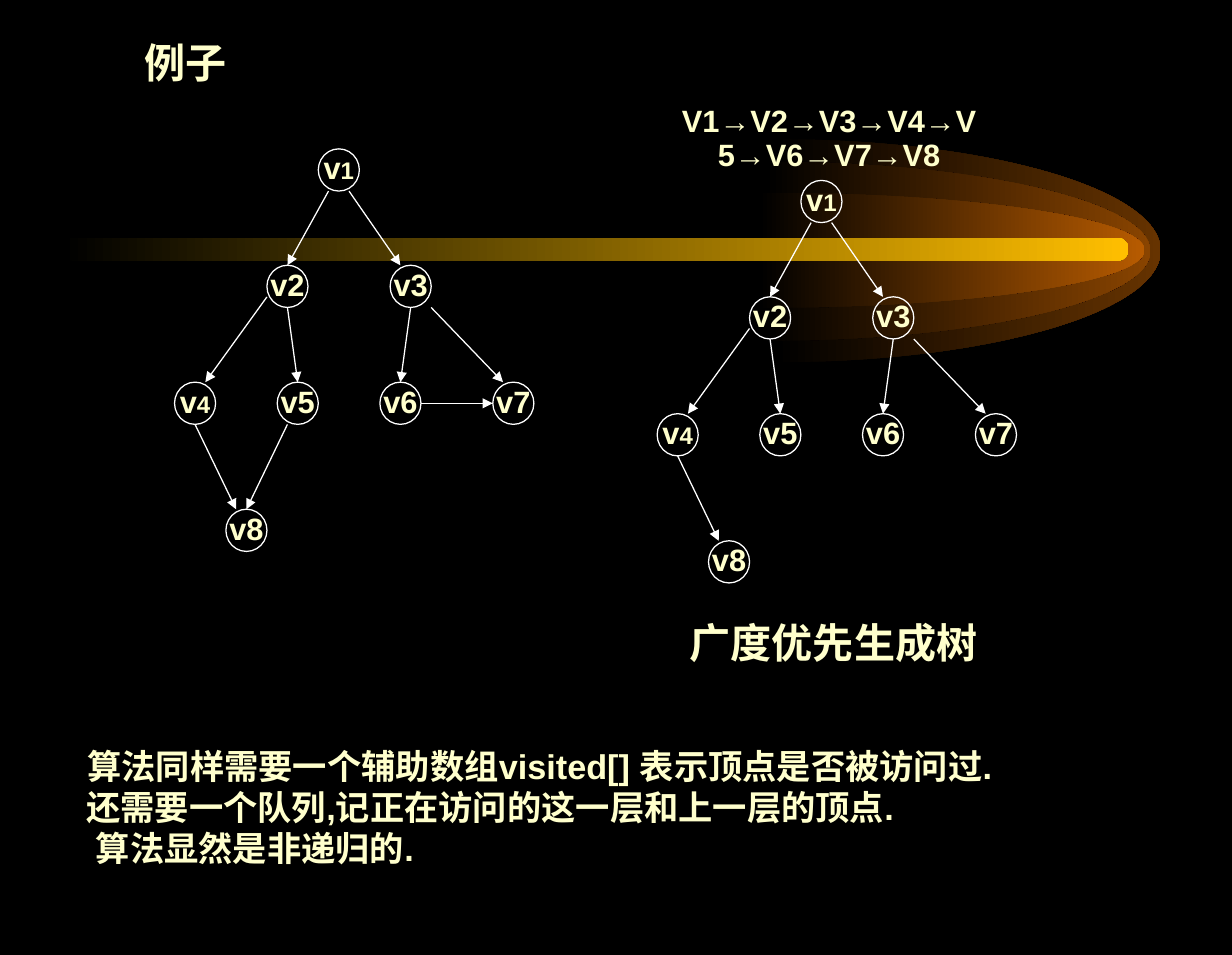
from lxml import etree
from pptx import Presentation
from pptx.dml.color import RGBColor
from pptx.enum.shapes import MSO_CONNECTOR, MSO_SHAPE
from pptx.enum.text import MSO_ANCHOR, MSO_AUTO_SIZE, PP_ALIGN
from pptx.oxml.ns import qn
from pptx.util import Cm, Pt

OVAL, BAR = MSO_SHAPE.OVAL, MSO_SHAPE.ROUNDED_RECTANGLE
STRAIGHT = MSO_CONNECTOR.STRAIGHT
LEFT, CENTER = PP_ALIGN.LEFT, PP_ALIGN.CENTER
TOP, MIDDLE = MSO_ANCHOR.TOP, MSO_ANCHOR.MIDDLE
FIXED, GROW = MSO_AUTO_SIZE.NONE, MSO_AUTO_SIZE.SHAPE_TO_FIT_TEXT

THEME = {
    "background": "000000", "text": "FFFFCC", "line": "FFFFFF", "bar": "FFBF00",
    "latin": "Arial", "heading_font": "Times New Roman",
    "heading": 24, "notes": 20, "label": 18, "small_label": 14,
    "line_width": 0.75, "tight": 0.9,
}

# Comet tail: left, centre height, horizontal radius, vertical radius (cm), colour
GLOWS = [
    (15.98, 5.17, 7.95, 2.30, "663300"),
    (15.77, 5.18, 7.95, 1.85, "894400"),
    (15.65, 5.16, 7.95, 1.19, "B75B00"),
]
BAR_BOX = (1.27, 4.90, 22.0, 0.48)
CURVE = 0.55  # Bezier handle length for a quarter of an ellipse

# Vertices: grid column, level, text as (characters, size)
LEVEL_TOPS = [3.07, 5.47, 7.88, 10.5]
VERTICES = {
    "v1": (31, 0, [("v", "label"), ("1", "small_label")]),
    "v2": (26, 1, [("v2", "label")]),
    "v3": (38, 1, [("v3", "label")]),
    "v4": (17, 2, [("v", "label"), ("4", "small_label")]),
    "v5": (27, 2, [("v5", "label")]),
    "v6": (37, 2, [("v6", "label")]),
    "v7": (48, 2, [("v7", "label")]),
    "v8": (22, 3, [("v8", "label")]),
}
# Edges: ends with their (column, height) on the vertex, in quarters of its box
TREE_EDGES = [
    ("v1", (3, 4), "v3", (1, 0)),
    ("v1", (1, 4), "v2", (2, 0)),
    ("v2", (0, 3), "v4", (3, 0)),
    ("v2", (2, 4), "v5", (2, 0)),
    ("v3", (2, 4), "v6", (2, 0)),
    ("v3", (4, 4), "v7", (1, 0)),
    ("v4", (2, 4), "v8", (1, 0)),
]
EXTRA_EDGES = [("v5", (1, 4), "v8", (2, 0)), ("v6", (4, 2), "v7", (0, 2))]
# Drawings: horizontal and vertical offset (cm), edges
GRAPHS = [(0, 0, TREE_EDGES + EXTRA_EDGES), (9.95, 0.65, TREE_EDGES)]

COLUMN = 2.54 / 12
VERTEX_W, VERTEX_H = 4 * COLUMN, 0.87

# Text blocks: box (cm), paragraphs as (left indent, text), format
CAPTION = dict(align=CENTER, anchor=MIDDLE, wrap=False, fit=GROW, spacing="tight")
TEXTS = [
    ((2.54, 0.64, 21, 1.5), [(0.19, "例子")],
     dict(size="heading", font="heading_font", align=LEFT, anchor=TOP,
          wrap=True, fit=FIXED)),
    ((1.37, 15.15, 22.86, 2.97),
     [(0.18, "算法同样需要一个辅助数组visited[] 表示顶点是否被访问过."),
      (0.16, "还需要一个队列,记正在访问的这一层和上一层的顶点.\n 算法显然是非递归的.")],
     dict(size="notes", font="latin", align=LEFT, anchor=MIDDLE,
          wrap=True, fit=FIXED)),
    ((13.97, 12.72, 6.43, 1.17), [(0, "广度优先生成树")],
     dict(size="heading", font="heading_font", **CAPTION)),
    ((11.43, 2.41, 11.33, 0.94), [(0, "V1→V2→V3→V4→V 5→V6→V7→V8")],
     dict(size="label", font="latin", **CAPTION)),
]


def color(key):
    return RGBColor.from_string(THEME.get(key, key))


def set_all(target, values):
    for attribute, value in values.items():
        setattr(target, attribute, value)


def add_run(paragraph, text, size, font):
    run = paragraph.add_run()
    run.text = text
    set_all(run.font, {"size": Pt(THEME[size]), "name": THEME[font], "bold": True})
    run.font.color.rgb = color("text")


def draw_line(line):
    line.color.rgb = color("line")
    line.width = Pt(THEME["line_width"])


def fade_in(shape, end_color):
    """Fill a shape from the background to end_color, left to right."""
    shape.shadow.inherit = False
    shape.line.fill.background()
    shape.fill.gradient()
    shape.fill.gradient_angle = 0
    for stop, key in zip(shape.fill.gradient_stops, ("background", end_color)):
        stop.color.rgb = color(key)


def add_half_ellipse(shapes, left, middle, rx, ry):
    """Outline the right half of an ellipse, bending its two outer edges."""
    builder = shapes.build_freeform(Cm(left), Cm(middle - ry))
    corners = [(left + rx, middle), (left, middle + ry), (left, middle)]
    builder.add_line_segments([(Cm(x), Cm(y)) for x, y in corners], close=True)
    shape = builder.convert_to_shape()
    bends = [
        [(CURVE * rx, 0), (rx, ry - CURVE * ry), (rx, ry)],
        [(rx, ry + CURVE * ry), (CURVE * rx, 2 * ry), (0, 2 * ry)],
    ]
    for edge, bend in zip(list(shape._element.iter(qn("a:lnTo"))), bends):
        curve = etree.Element(qn("a:cubicBezTo"))
        for x, y in bend:
            etree.SubElement(curve, qn("a:pt"), x=str(Cm(x)), y=str(Cm(y)))
        edge.getparent().replace(edge, curve)
    return shape


def add_comet(shapes):
    for *outline, end_color in GLOWS:
        fade_in(add_half_ellipse(shapes, *outline), end_color)
    bar = shapes.add_shape(BAR, *map(Cm, BAR_BOX))
    bar.adjustments[0] = 0.5
    fade_in(bar, "bar")


def add_vertex(shapes, left, top, label):
    vertex = shapes.add_shape(OVAL, *map(Cm, (left, top, VERTEX_W, VERTEX_H)))
    vertex.shadow.inherit = False
    vertex.fill.background()
    draw_line(vertex.line)
    set_all(vertex.text_frame, {"word_wrap": False, "vertical_anchor": MIDDLE})
    paragraph = vertex.text_frame.paragraphs[0]
    set_all(paragraph, {"alignment": CENTER, "line_spacing": THEME["tight"]})
    for text, size in label:
        add_run(paragraph, text, size, "latin")


def add_arrow(shapes, start, end):
    arrow = shapes.add_connector(STRAIGHT, *map(Cm, start + end))
    draw_line(arrow.line)
    etree.SubElement(arrow.line._get_or_add_ln(), qn("a:tailEnd"), type="triangle")
    etree.SubElement(arrow._element.spPr, qn("a:effectLst"))


def add_graph(shapes, shift_x, shift_y, edges):
    corners = {}
    for name, (column, level, label) in VERTICES.items():
        corners[name] = (column * COLUMN + shift_x, LEVEL_TOPS[level] + shift_y)
        add_vertex(shapes, *corners[name], label)

    def anchor_point(name, quarters):
        left, top = corners[name]
        return (left + VERTEX_W * quarters[0] / 4, top + VERTEX_H * quarters[1] / 4)

    for source, leaving, target, entering in edges:
        add_arrow(shapes, anchor_point(source, leaving), anchor_point(target, entering))


def add_text(shapes, box, paragraphs, style):
    frame = shapes.add_textbox(*map(Cm, box)).text_frame
    set_all(frame, {"word_wrap": style["wrap"], "auto_size": style["fit"],
                    "vertical_anchor": style["anchor"]})
    for number, (indent, text) in enumerate(paragraphs):
        paragraph = frame.add_paragraph() if number else frame.paragraphs[0]
        paragraph.alignment = style["align"]
        paragraph.line_spacing = THEME.get(style.get("spacing"))
        paragraph._p.get_or_add_pPr().set("marL", str(Cm(indent)))
        for row, line in enumerate(text.split("\n")):
            if row:
                paragraph.add_line_break()
            add_run(paragraph, line, style["size"], style["font"])


def main():
    presentation = Presentation()
    set_all(presentation, {"slide_width": Cm(25.4), "slide_height": Cm(19.69)})
    slide = presentation.slides.add_slide(presentation.slide_layouts[6])
    slide.background.fill.solid()
    slide.background.fill.fore_color.rgb = color("background")
    add_comet(slide.shapes)
    for graph in GRAPHS:
        add_graph(slide.shapes, *graph)
    for text_block in TEXTS:
        add_text(slide.shapes, *text_block)
    presentation.save("out.pptx")


if __name__ == "__main__":
    main()
